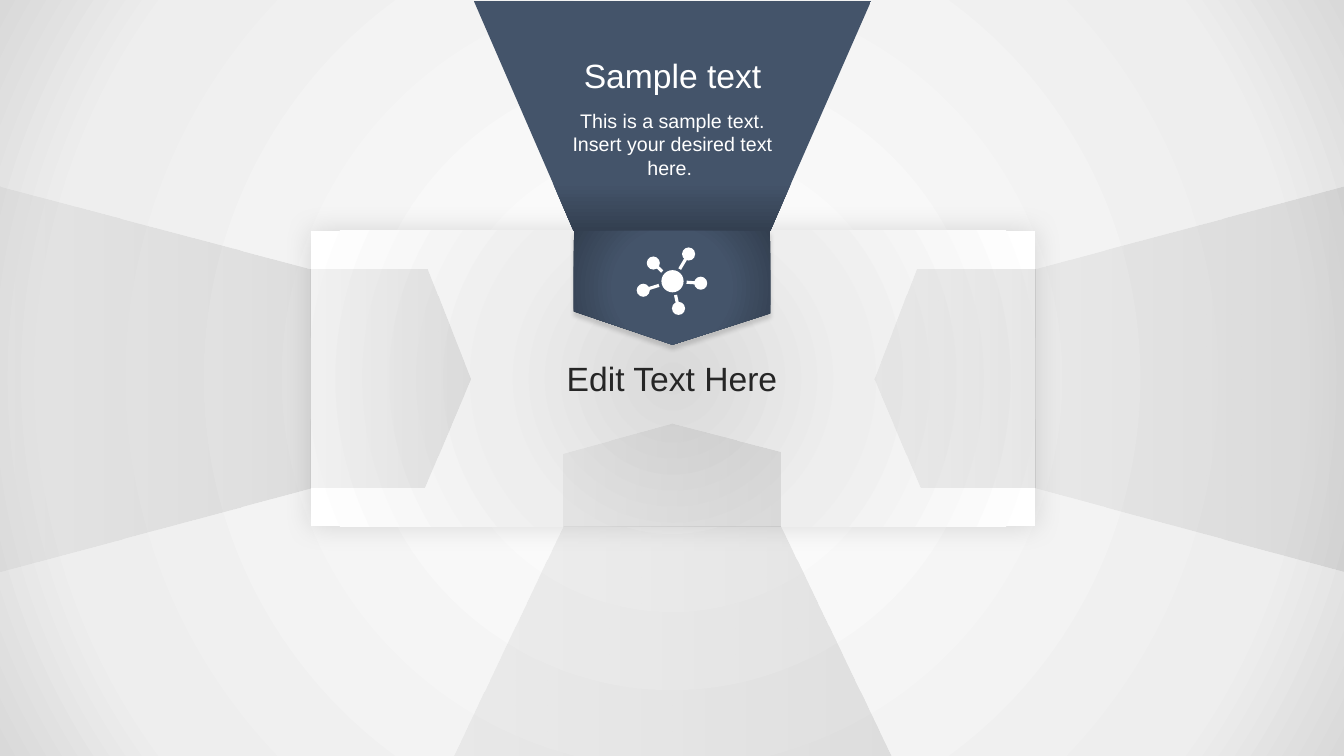
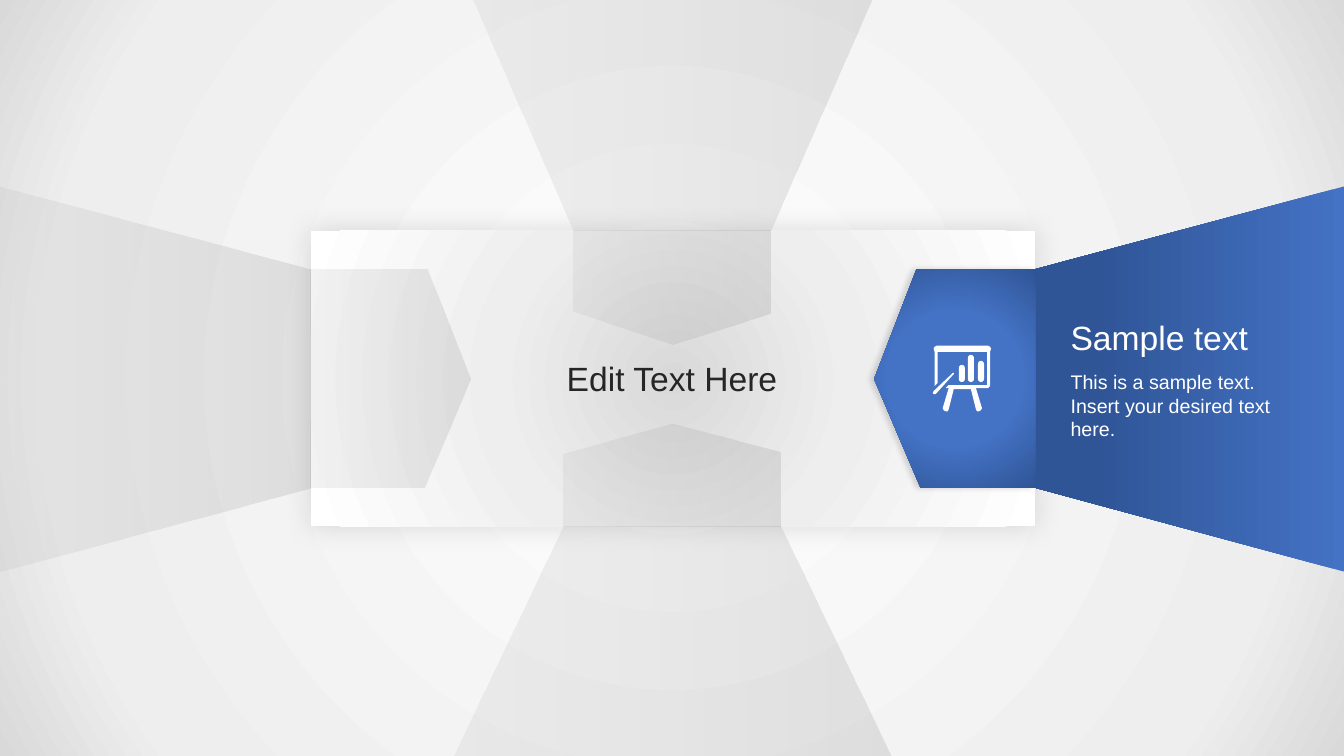
from math import hypot

from lxml import etree
from pptx import Presentation
from pptx.dml.color import RGBColor
from pptx.enum.shapes import MSO_CONNECTOR as Connector, MSO_SHAPE as Shape
from pptx.enum.text import MSO_ANCHOR as Anchor, PP_ALIGN as Align
from pptx.oxml.ns import qn
from pptx.util import Inches, Pt

WIDTH, HEIGHT = 13.33, 7.5
LEFT, TOP, RIGHT, BOTTOM = 3.08, 2.29, 10.27, 5.22
FONT = "Arial"

WHITE = RGBColor(0xFF, 0xFF, 0xFF)
BLACK = RGBColor(0x00, 0x00, 0x00)
INK = RGBColor(0x26, 0x26, 0x26)
PALE = RGBColor(0xEE, 0xEE, 0xEE)
SILVER = RGBColor(0xD9, 0xD9, 0xD9)
GREY = RGBColor(0xA5, 0xA5, 0xA5)
DARK_GREY = RGBColor(0x7C, 0x7C, 0x7C)
SLATE = RGBColor(0x44, 0x54, 0x6A)
DARK_SLATE = RGBColor(0x33, 0x3F, 0x50)
BLUE = RGBColor(0x44, 0x72, 0xC4)
DARK_BLUE = RGBColor(0x2F, 0x55, 0x97)

BACKDROP = [(0, WHITE), (81, PALE), (100, SILVER)]
CARD_FILL = [(0, SILVER), (45, PALE), (100, WHITE)]
QUIET_FILL = [(0, GREY, 14), (100, DARK_GREY, 18)]

ARMS = {
    "left": {
        "wing": [(0, 1.85), (LEFT, 2.67), (LEFT, 4.84), (0, 5.67)],
        "flap": [(LEFT, 2.67), (4.24, 2.67), (4.67, 3.76), (4.21, 4.84), (LEFT, 4.84)],
    },
    "right": {
        "wing": [(WIDTH, 1.85), (WIDTH, 5.67), (RIGHT, 4.84), (RIGHT, 2.67)],
        "flap": [(9.09, 2.67), (RIGHT, 2.67), (RIGHT, 4.84), (9.13, 4.84), (8.67, 3.76)],
    },
    "bottom": {
        "wing": [(5.59, BOTTOM), (7.74, BOTTOM), (8.84, HEIGHT), (4.5, HEIGHT)],
        "flap": [(6.67, 4.2), (7.74, 4.48), (7.74, BOTTOM), (5.59, BOTTOM), (5.59, 4.5)],
    },
    "top": {
        "wing": [(4.7, 0.01), (8.64, 0.01), (7.64, TOP), (5.69, TOP)],
        "flap": [(5.69, TOP), (7.64, TOP), (7.64, 3.11), (6.67, 3.42), (5.69, 3.09)],
    },
}

HUB, HUB_SIZE, HUB_GAP = (6.67, 2.79), 0.22, 0.14
NODES = [(6.48, 2.61), (6.83, 2.52), (6.95, 2.81), (6.73, 3.06), (6.38, 2.88)]
NODE_SIZE, STEM = 0.13, 2.25

EASEL = [
    (9.8, 3.43), (9.29, 3.43), (9.27, 3.44), (9.26, 3.46), (9.27, 3.49), (9.27, 3.83),
    (9.3, 3.8), (9.3, 3.49), (9.79, 3.49), (9.79, 3.82), (9.41, 3.82), (9.38, 3.85),
    (9.41, 3.85), (9.35, 4.05), (9.36, 4.07), (9.38, 4.08), (9.4, 4.08), (9.41, 4.06),
    (9.46, 3.86), (9.63, 3.86), (9.68, 4.06), (9.69, 4.08), (9.71, 4.08), (9.73, 4.07),
    (9.74, 4.05), (9.68, 3.85), (9.8, 3.85), (9.82, 3.83), (9.82, 3.49), (9.83, 3.46),
    (9.82, 3.44),
]
POINTER = [(9.46, 3.7), (9.45, 3.7), (9.26, 3.88), (9.25, 3.9), (9.26, 3.91),
           (9.28, 3.91), (9.46, 3.71)]
BARS = [(9.51, 3.62), (9.6, 3.52), (9.7, 3.58)]
BAR_WIDTH, BAR_BOTTOM = 0.06, 3.79

TITLE = "Edit Text Here"
HEADING = "Sample text"
OPENING = "This is a sample text."

SLIDES = [
    {
        "active": "top", "icon": "network", "align": Align.CENTER,
        "wing": [(0, SLATE), (79, SLATE), (100, DARK_SLATE)], "angle": 90,
        "flap": [(0, SLATE), (50, SLATE), (100, DARK_SLATE)], "shadow": (14, 3, 3, 90),
        "heading": (5.64, 0.5, 2.06, 0.5), "body": (5.55, 1.03, 2.24, 0.81),
        "lines": [OPENING, "Insert your desired text here. "],
    },
    {
        "active": "right", "icon": "easel", "align": Align.LEFT,
        "wing": [(0, BLUE), (81, DARK_BLUE), (100, DARK_BLUE)], "angle": 180,
        "flap": [(0, BLUE), (50, BLUE), (100, DARK_BLUE)], "shadow": (14, 4, 3, 180),
        "heading": (10.52, 3.09, 2.06, 0.5), "body": (10.52, 3.62, 2.24, 0.81),
        "lines": [OPENING, "Insert your desired text here."],
    },
]


def add_color(parent, color, opacity=100):
    node = etree.SubElement(parent, qn("a:srgbClr"), val=str(color))
    if opacity < 100:
        etree.SubElement(node, qn("a:alpha"), val=str(opacity * 1000))


def set_gradient(fill, holder, stops, angle=None):
    fill.solid()
    gradient = etree.Element(qn("a:gradFill"), rotWithShape="1")
    stop_list = etree.SubElement(gradient, qn("a:gsLst"))
    for position, *color in stops:
        add_color(etree.SubElement(stop_list, qn("a:gs"), pos=str(position * 1000)), *color)
    if angle is None:
        circle = etree.SubElement(gradient, qn("a:path"), path="circle")
        etree.SubElement(circle, qn("a:fillToRect"), dict.fromkeys("ltrb", "50000"))
    else:
        etree.SubElement(gradient, qn("a:lin"), ang=str(angle * 60000), scaled="0")
    solid = holder.find(qn("a:solidFill"))
    holder.replace(solid, gradient)


def finish(shape, stops, angle=None, shadow=None):
    properties = shape._element.spPr
    shape.line.fill.background()
    set_gradient(shape.fill, properties, stops, angle)
    shape.shadow.inherit = False
    if shadow:
        opacity, blur, distance, direction = shadow
        outer = etree.SubElement(
            properties.find(qn("a:effectLst")), qn("a:outerShdw"),
            blurRad=str(Pt(blur)), dist=str(Pt(distance)),
            dir=str(direction * 60000), algn="ctr", rotWithShape="0")
        add_color(outer, BLACK, opacity)


def whiten(shape):
    shape.fill.solid()
    shape.fill.fore_color.rgb = WHITE
    shape.line.fill.background()
    shape.shadow.inherit = False


def add_outline(page, points):
    corners = [(Inches(x), Inches(y)) for x, y in points]
    builder = page.shapes.build_freeform(*corners[0])
    builder.add_line_segments(corners[1:], close=True)
    return builder.convert_to_shape()


def add_preset(page, kind, *area):
    return page.shapes.add_shape(kind, *(Inches(value) for value in area))


def add_dot(page, x, y, size):
    whiten(add_preset(page, Shape.OVAL, x - size / 2, y - size / 2, size, size))


def add_stem(page, *ends):
    stem = page.shapes.add_connector(Connector.STRAIGHT, *(Inches(value) for value in ends))
    stem.line.color.rgb = WHITE
    stem.line.width = Pt(STEM)
    etree.SubElement(stem._element.spPr, qn("a:effectLst"))


def draw_network(page):
    add_dot(page, *HUB, HUB_SIZE)
    for x, y in NODES:
        add_dot(page, x, y, NODE_SIZE)
        across, down = x - HUB[0], y - HUB[1]
        share = HUB_GAP / hypot(across, down)
        add_stem(page, x, y, HUB[0] + across * share, HUB[1] + down * share)


def draw_easel(page):
    whiten(add_outline(page, EASEL))
    for left, top in BARS:
        bar = add_preset(page, Shape.ROUNDED_RECTANGLE, left, top, BAR_WIDTH, BAR_BOTTOM - top)
        bar.adjustments[0] = 0.5
        whiten(bar)
    whiten(add_outline(page, POINTER))


ICONS = {"network": draw_network, "easel": draw_easel}


def write(box, lines, size, color, align, anchor=Anchor.TOP, wrap=True):
    frame = box.text_frame
    frame.word_wrap = wrap
    frame.vertical_anchor = anchor
    frame.text = "\n".join(lines)
    for para in frame.paragraphs:
        para.alignment = align
        para.font.name = FONT
        para.font.size = Pt(size)
        para.font.color.rgb = color


def add_text(page, area, lines, **style):
    box = page.shapes.add_textbox(*(Inches(value) for value in area))
    write(box, lines, **style)


def add_title(page):
    title = page.shapes.title
    page.shapes._spTree.append(title._element)
    title.left, title.top = Inches(5.51), Inches(3.5)
    title.width, title.height = Inches(2.31), Inches(0.5)
    write(title, [TITLE], size=24, color=INK, align=Align.CENTER,
          anchor=Anchor.MIDDLE, wrap=False)


def build_slide(deck, content):
    page = deck.slides.add_slide(deck.slide_layouts[5])
    card = add_preset(page, Shape.RECTANGLE, LEFT, TOP, RIGHT - LEFT, BOTTOM - TOP)
    finish(card, CARD_FILL, shadow=(13, 20, 0, 0))
    for name, arm in ARMS.items():
        wing, flap = (add_outline(page, arm[part]) for part in ("wing", "flap"))
        if name == content["active"]:
            finish(wing, content["wing"], content["angle"])
            finish(flap, content["flap"], shadow=content["shadow"])
        else:
            finish(wing, QUIET_FILL, 0)
            finish(flap, QUIET_FILL, 0)
    ICONS[content["icon"]](page)
    style = {"color": WHITE, "align": content["align"]}
    add_text(page, content["heading"], [HEADING], size=24, **style)
    add_text(page, content["body"], content["lines"], size=14, **style)
    add_title(page)


def main():
    deck = Presentation()
    deck.slide_width, deck.slide_height = Inches(WIDTH), Inches(HEIGHT)
    master = deck.slide_master
    fill = master.background.fill
    fill.solid()
    set_gradient(fill, master._element.find(".//" + qn("p:bgPr")), BACKDROP)
    for content in SLIDES:
        build_slide(deck, content)
    deck.save("out.pptx")


if __name__ == "__main__":
    main()
